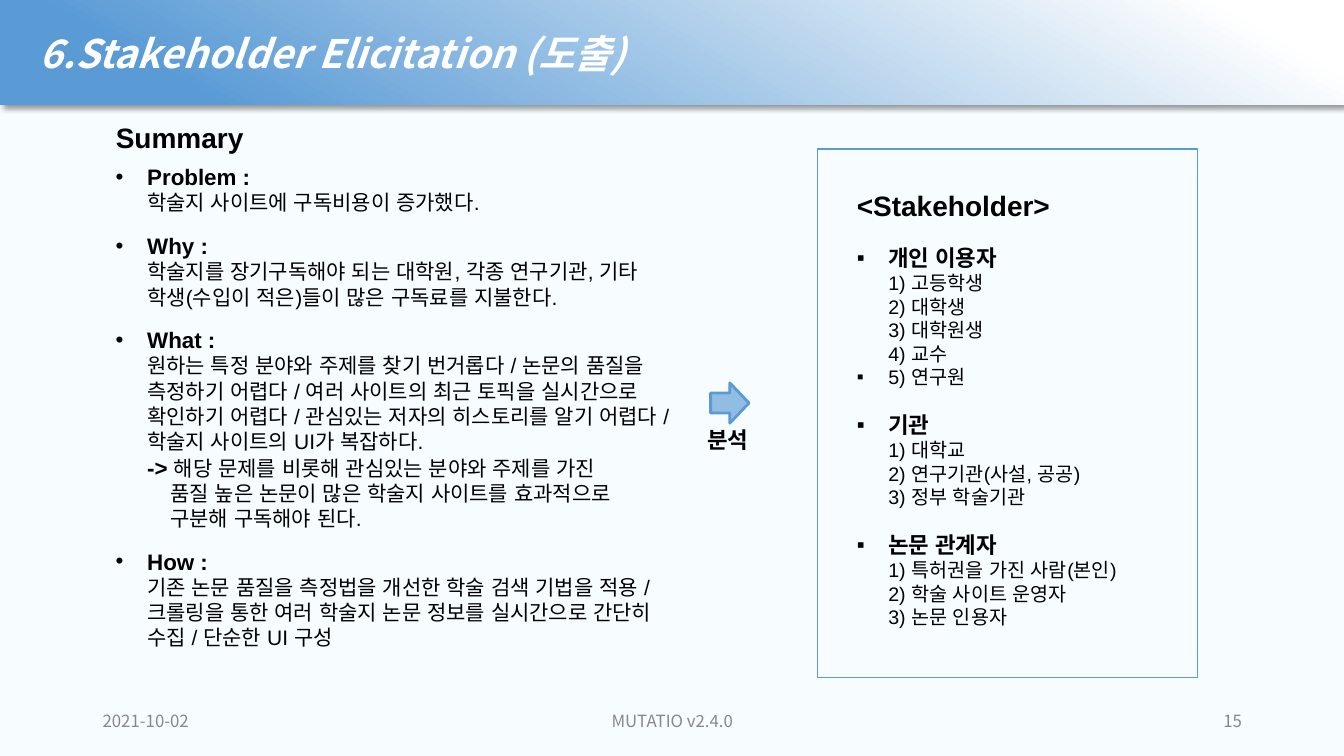
from copy import deepcopy

from lxml import etree
from pptx import Presentation
from pptx.dml.color import RGBColor
from pptx.enum.shapes import MSO_SHAPE
from pptx.enum.text import MSO_ANCHOR, MSO_AUTO_SIZE, PP_ALIGN
from pptx.oxml import parse_xml
from pptx.oxml.ns import qn
from pptx.util import Pt

LEFT, CENTER, RIGHT = PP_ALIGN.LEFT, PP_ALIGN.CENTER, PP_ALIGN.RIGHT
TOP, MIDDLE = MSO_ANCHOR.TOP, MSO_ANCHOR.MIDDLE
NO_FIT = MSO_AUTO_SIZE.NONE
RECTANGLE, RIGHT_ARROW = MSO_SHAPE.RECTANGLE, MSO_SHAPE.RIGHT_ARROW
DRAWING_NS = "http://schemas.openxmlformats.org/drawingml/2006/main"
SANS, KOREAN = "Arial", "Noto Sans CJK KR"
BLUE, PALE_BLUE, BACKGROUND = "5A9BD5", "92BDE3", "F7FCFF"
BLACK, WHITE, GREY = "000000", "FFFFFF", "888888"
INDENT, ARROW_INDENT = 22.5, 16.5

HEADER_STYLE = {"size": 28, "name": KOREAN, "color": WHITE, "bold": True, "italic": True}
FOOTER_STYLE = {"size": 12, "name": KOREAN, "color": GREY}
HEADING_STYLE = {"size": 20, "name": SANS, "color": BLACK, "bold": True}
LABEL_STYLE = {**HEADING_STYLE, "size": 16}
SUMMARY_STYLE = {"size": 15, "name": SANS, "color": BLACK, "bold": False}
MEMBER_STYLE = {**SUMMARY_STYLE, "size": 14}

PROBLEM_SUMMARY = [
    ("Problem : ", "학술지 사이트에 구독비용이 증가했다."),
    ("Why : ", "학술지를 장기구독해야 되는 대학원, 각종 연구기관, 기타 학생(수입이 적은)들이 "
               "많은 구독료를 지불한다."),
    ("What : ", "원하는 특정 분야와 주제를 찾기 번거롭다 / 논문의 품질을 측정하기 어렵다 / "
                "여러 사이트의 최근 토픽을 실시간으로 확인하기 어렵다 / 관심있는 저자의 "
                "히스토리를 알기 어렵다 / 학술지 사이트의 UI가 복잡하다."),
    ("-> ", "해당 문제를 비롯해 관심있는 분야와 주제를 가진\n"
            "품질 높은 논문이 많은 학술지 사이트를 효과적으로\n구분해 구독해야 된다."),
    ("How : ", "기존 논문 품질을 측정법을 개선한 학술 검색 기법을 적용 / 크롤링을 통한 여러 "
               "학술지 논문 정보를 실시간으로 간단히 수집 / 단순한 UI 구성"),
]
STAKEHOLDERS = [
    ("개인 이용자", "1) 고등학생\n2) 대학생\n3) 대학원생\n4) 교수"),
    ("", "5) 연구원"),
    ("기관", "1) 대학교\n2) 연구기관(사설, 공공)\n3) 정부 학술기관"),
    ("논문 관계자", "1) 특허권을 가진 사람(본인)\n2) 학술 사이트 운영자\n3) 논문 인용자"),
]
FOOTERS = [
    (66.24, 216, "2021-10-02", LEFT),
    (318.24, 324, "MUTATIO v2.4.0", CENTER),
    (678.24, 216, "15", RIGHT),
]


def rgb(color):
    """Turn a hex string into a colour."""
    return RGBColor.from_string(color)


def apply_format(target, values):
    """Set each attribute named in a dict."""
    for name, value in values.items():
        setattr(target, name, value)


def add_text(paragraph, text, style):
    """Add formatted runs, with a line break for each newline."""
    for number, line in enumerate(text.split("\n")):
        if number:
            paragraph.add_line_break()
            paragraph._p[-1].append(deepcopy(run._r.rPr))
        run = paragraph.add_run()
        run.text = line
        values = {key: value for key, value in style.items() if key != "color"}
        apply_format(run.font, {**values, "size": Pt(style["size"])})
        run.font.color.rgb = rgb(style["color"])
        east_asian = etree.SubElement(run._r.rPr, qn("a:ea"))
        east_asian.set("typeface", style["name"])


def set_frame(shape, anchor=TOP, insets=(7.2, 3.6, 7.2, 3.6)):
    """Prepare a text frame and return it."""
    left, top, right, bottom = insets
    frame = shape.text_frame
    apply_format(frame, {
        "word_wrap": True, "auto_size": NO_FIT, "vertical_anchor": anchor,
        "margin_left": Pt(left), "margin_top": Pt(top),
        "margin_right": Pt(right), "margin_bottom": Pt(bottom),
    })
    return frame


def set_indent(paragraph, margin, hanging, bullet=None):
    """Give a paragraph a hanging indent and an optional bullet."""
    properties = paragraph._p.get_or_add_pPr()
    properties.set("marL", str(Pt(margin)))
    properties.set("indent", str(-Pt(hanging)))
    if bullet:
        color = etree.SubElement(properties, qn("a:buClr"))
        etree.SubElement(color, qn("a:srgbClr")).set("val", BLACK)
        etree.SubElement(properties, qn("a:buFont")).set("typeface", SANS)
        etree.SubElement(properties, qn("a:buChar")).set("char", bullet)


def add_label(slide, box, text, style, align=LEFT, anchor=TOP):
    """Add a text box with one line."""
    frame = set_frame(slide.shapes.add_textbox(*map(Pt, box)), anchor)
    frame.paragraphs[0].alignment = align
    add_text(frame.paragraphs[0], text, style)


def add_shape(slide, kind, box, line_width, fill=None):
    """Add a blue-lined shape without a shadow."""
    shape = slide.shapes.add_shape(kind, *map(Pt, box))
    shape.shadow.inherit = False
    shape.line.color.rgb = rgb(BLUE)
    shape.line.width = Pt(line_width)
    if fill:
        shape.fill.solid()
        shape.fill.fore_color.rgb = rgb(fill)
    else:
        shape.fill.background()
    return shape


def format_header(title):
    """Turn the title placeholder into the shaded header band."""
    apply_format(title, {"left": Pt(0), "top": Pt(0), "width": Pt(960), "height": Pt(75)})
    stops = "".join(
        f'<a:gs pos="{position * 1000}"><a:srgbClr val="{color}"/></a:gs>'
        for position, color in [(0, WHITE), (8, WHITE), (86, BLUE), (100, BLUE)])
    for part in (
        '<a:prstGeom xmlns:a="{ns}" prst="rect"><a:avLst/></a:prstGeom>',
        '<a:gradFill xmlns:a="{ns}" rotWithShape="1"><a:gsLst>' + stops
        + '</a:gsLst><a:lin ang="7200000" scaled="0"/></a:gradFill>',
        f'<a:effectLst xmlns:a="{{ns}}"><a:outerShdw blurRad="{Pt(4)}" dist="{Pt(3)}" '
        'dir="2700000" algn="tl" rotWithShape="0"><a:srgbClr val="000000">'
        '<a:alpha val="40000"/></a:srgbClr></a:outerShdw></a:effectLst>',
    ):
        title._element.spPr.append(parse_xml(part.format(ns=DRAWING_NS)))
    paragraph = set_frame(title, MIDDLE, (28, 3.6, 7.2, 3.6)).paragraphs[0]
    paragraph.alignment = LEFT
    add_text(paragraph, "6.Stakeholder Elicitation (도출)", HEADER_STYLE)


def add_summary(slide):
    """Add the bulleted problem summary."""
    frame = set_frame(slide.shapes.add_textbox(Pt(75.6), Pt(113), Pt(416), Pt(376.5)))
    for number, (heading, body) in enumerate(PROBLEM_SUMMARY):
        paragraph = frame.add_paragraph() if number else frame.paragraphs[0]
        if heading == "-> ":
            set_indent(paragraph, INDENT + ARROW_INDENT, ARROW_INDENT)
            add_text(paragraph, heading, LABEL_STYLE)
        else:
            paragraph.space_before = Pt(12 if number else 0)
            set_indent(paragraph, INDENT, INDENT, "•")
            add_text(paragraph, heading + "\n", LABEL_STYLE)
        add_text(paragraph, body, SUMMARY_STYLE)


def add_stakeholders(slide):
    """Add the framed list of stakeholders."""
    panel = add_shape(slide, RECTANGLE, (584, 106.5, 271.5, 377.3), 1)
    frame = set_frame(panel, TOP, (28, 28, 28, 28))
    frame.paragraphs[0].alignment = LEFT
    add_text(frame.paragraphs[0], "<Stakeholder>", HEADING_STYLE)
    for group, members in STAKEHOLDERS:
        paragraph = frame.add_paragraph()
        paragraph.alignment = LEFT
        paragraph.space_before = Pt(16 if group else 0)
        set_indent(paragraph, INDENT, INDENT, "▪")
        if group:
            add_text(paragraph, group + "\n", LABEL_STYLE)
        add_text(paragraph, members, MEMBER_STYLE)


def main():
    """Build the slide and save it."""
    deck = Presentation()
    apply_format(deck, {"slide_width": Pt(960), "slide_height": Pt(540)})
    slide = deck.slides.add_slide(deck.slide_layouts[5])
    slide.background.fill.solid()
    slide.background.fill.fore_color.rgb = rgb(BACKGROUND)
    format_header(slide.shapes.title)
    for left, width, text, align in FOOTERS:
        add_label(slide, (left, 500.5, width, 28.75), text, FOOTER_STYLE, align, MIDDLE)
    add_summary(slide)
    add_stakeholders(slide)
    add_shape(slide, RIGHT_ARROW, (507.6, 273.5, 27.4, 28.8), 2, PALE_BLUE)
    add_label(slide, (75.6, 82.8, 180.7, 31.7), "Summary", HEADING_STYLE)
    add_label(slide, (494, 301, 51.8, 26.6), "분석", LABEL_STYLE, CENTER)
    deck.save("out.pptx")


if __name__ == "__main__":
    main()
